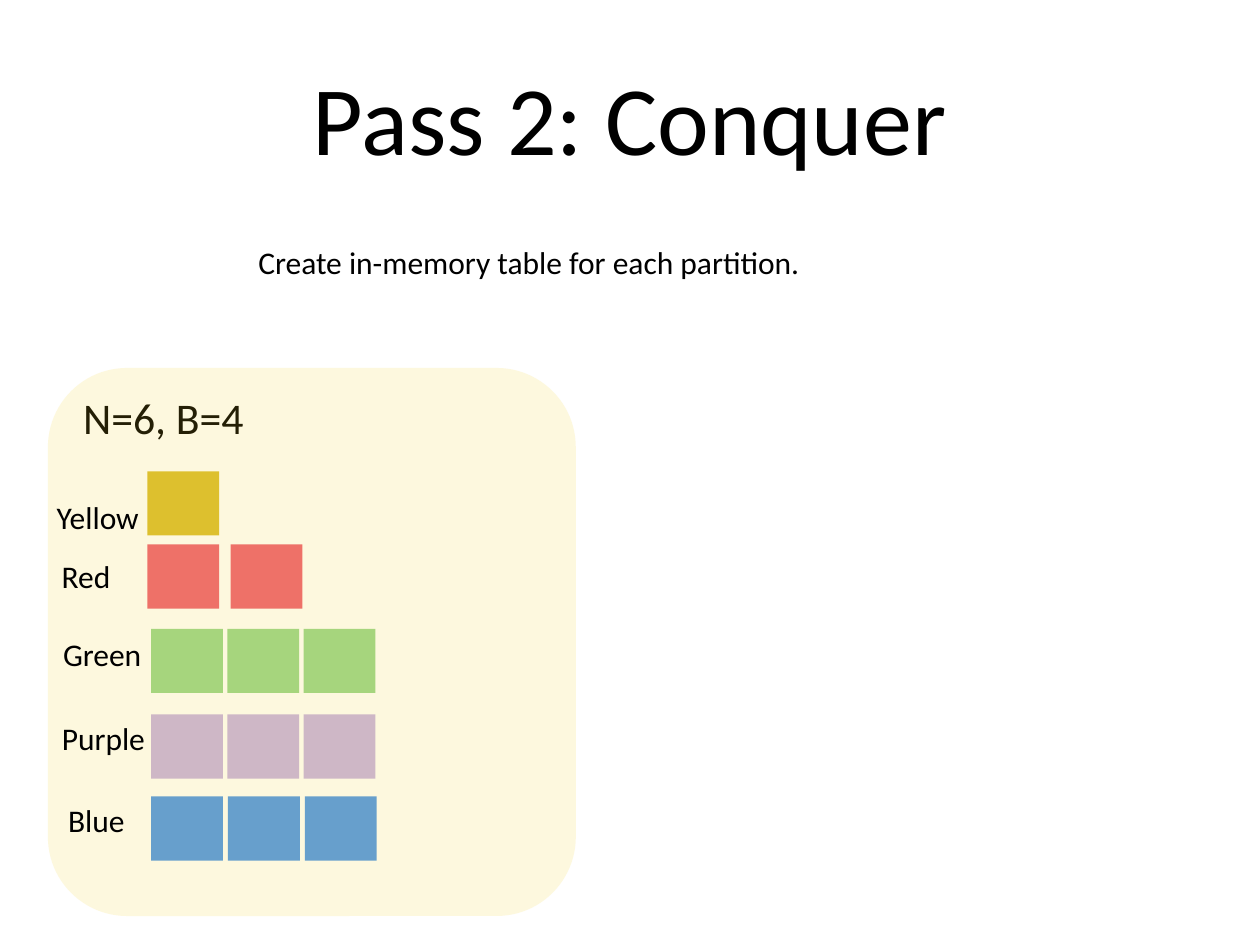
from lxml import etree
from pptx import Presentation
from pptx.dml.color import RGBColor
from pptx.enum.shapes import MSO_SHAPE as Shape
from pptx.enum.text import MSO_ANCHOR as Anchor, MSO_AUTO_SIZE as AutoSize, PP_ALIGN as Align
from pptx.oxml.ns import qn
from pptx.util import Inches, Pt

BLOCK_W, BLOCK_H = 0.57, 0.51

# label, label left, top, width; blocks left, top, count, pitch; colour, opacity %
PARTITIONS = [
    ("Yellow", 0.41, 3.91, 0.76, 1.17, 3.74, 1, 0.66, "DCBD23", 94),
    ("Red", 0.45, 4.38, 0.47, 1.17, 4.32, 2, 0.66, "EC5D57", 87),
    ("Green", 0.46, 5.0, 0.71, 1.2, 4.99, 3, 0.605, "70BF41", 61),
    ("Purple", 0.45, 5.67, 0.75, 1.2, 5.67, 3, 0.605, "773F9B", 35),
    ("Blue", 0.5, 6.32, 0.53, 1.2, 6.32, 3, 0.61, "0365C0", 60),
]


def rgb(color):
    return RGBColor.from_string(color)


def set_font(p, size):
    p.font.name = "Calibri"
    p.font.size = Pt(size)
    p.font.color.rgb = rgb("000000")


def set_title(s, text):
    title = s.shapes.title
    title.left, title.top = Inches(0.5), Inches(0.3)
    title.width, title.height = Inches(9), Inches(1.25)
    tf = title.text_frame
    tf.text = text
    tf.vertical_anchor = Anchor.MIDDLE
    p = tf.paragraphs[0]
    p.alignment = Align.CENTER
    set_font(p, 56)


def add_text(s, text, x, y, w, h, size=18, wrap=False, anchor=Anchor.MIDDLE):
    box = s.shapes.add_textbox(Inches(x), Inches(y), Inches(w), Inches(h))
    tf = box.text_frame
    tf.text = text
    tf.word_wrap = wrap
    tf.auto_size = AutoSize.NONE if wrap else AutoSize.SHAPE_TO_FIT_TEXT
    tf.vertical_anchor = anchor
    tf.margin_left = tf.margin_right = tf.margin_top = tf.margin_bottom = Inches(0.04)
    set_font(tf.paragraphs[0], size)


def add_filled(s, kind, x, y, w, h, color, opacity):
    """Add a borderless shape whose fill has the given opacity in percent."""
    sp = s.shapes.add_shape(kind, Inches(x), Inches(y), Inches(w), Inches(h))
    sp.shadow.inherit = False
    sp.line.fill.background()
    sp.fill.solid()
    sp.fill.fore_color.rgb = rgb(color)
    clr = sp.fill._xPr.find(qn("a:solidFill")).find(qn("a:srgbClr"))
    etree.SubElement(clr, qn("a:alpha")).set("val", str(opacity * 1000))
    return sp


def add_partition(s, label, label_x, label_y, label_w, x, y, count, pitch, color, opacity):
    for i in range(count):
        add_filled(s, Shape.RECTANGLE, x + i * pitch, y, BLOCK_W, BLOCK_H, color, opacity)
    add_text(s, label, label_x, label_y, label_w, 0.38)


def main():
    prs = Presentation()
    prs.slide_width, prs.slide_height = Inches(10), Inches(7.5)
    s = prs.slides.add_slide(prs.slide_layouts[5])
    set_title(s, "Pass 2: Conquer")
    add_text(s, "N=6, B=4", 0.62, 3.06, 1.37, 0.5, size=25)
    panel = add_filled(s, Shape.ROUNDED_RECTANGLE, 0.38, 2.92, 4.19, 4.35, "F5D328", 15)
    panel.adjustments[0] = 0.15
    add_text(s, "Create in-memory table for each partition.", 2.01, 1.89, 5.98, 0.68,
             wrap=True, anchor=Anchor.TOP)
    for partition in PARTITIONS:
        add_partition(s, *partition)
    prs.save("out.pptx")


if __name__ == "__main__":
    main()
